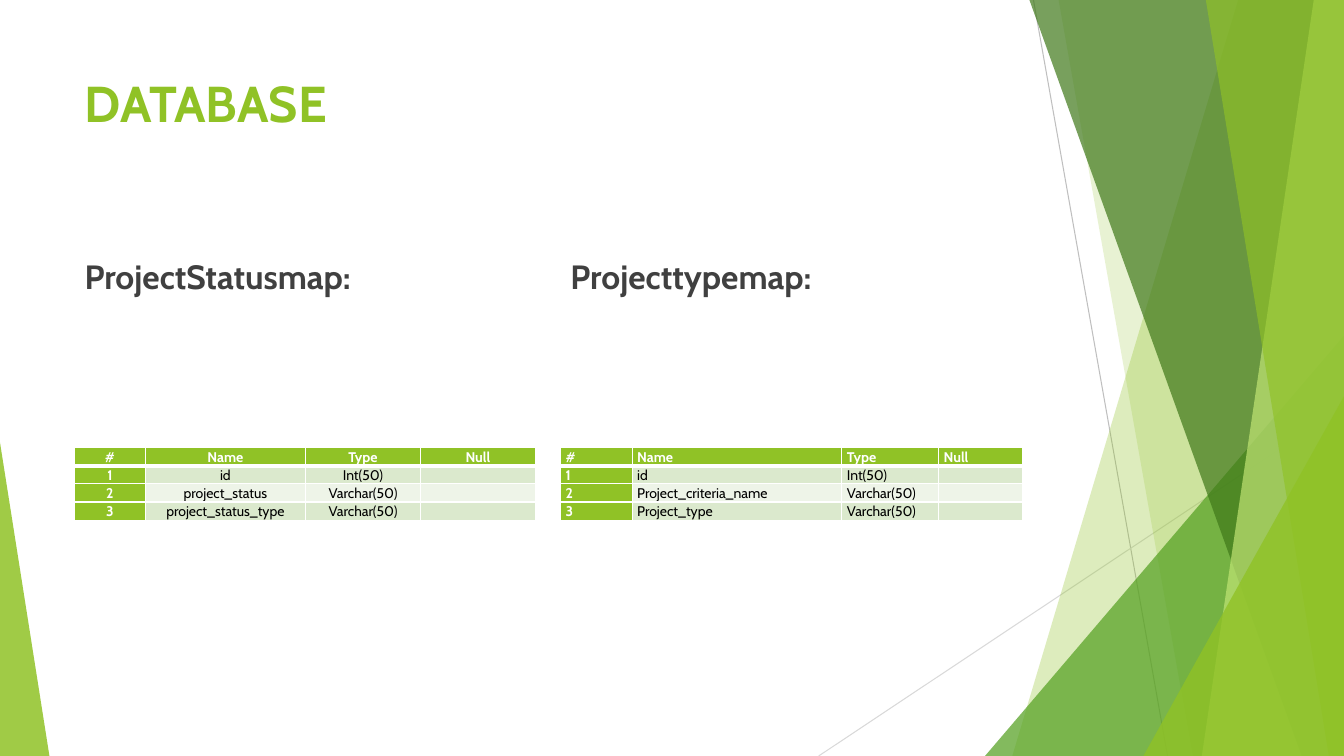
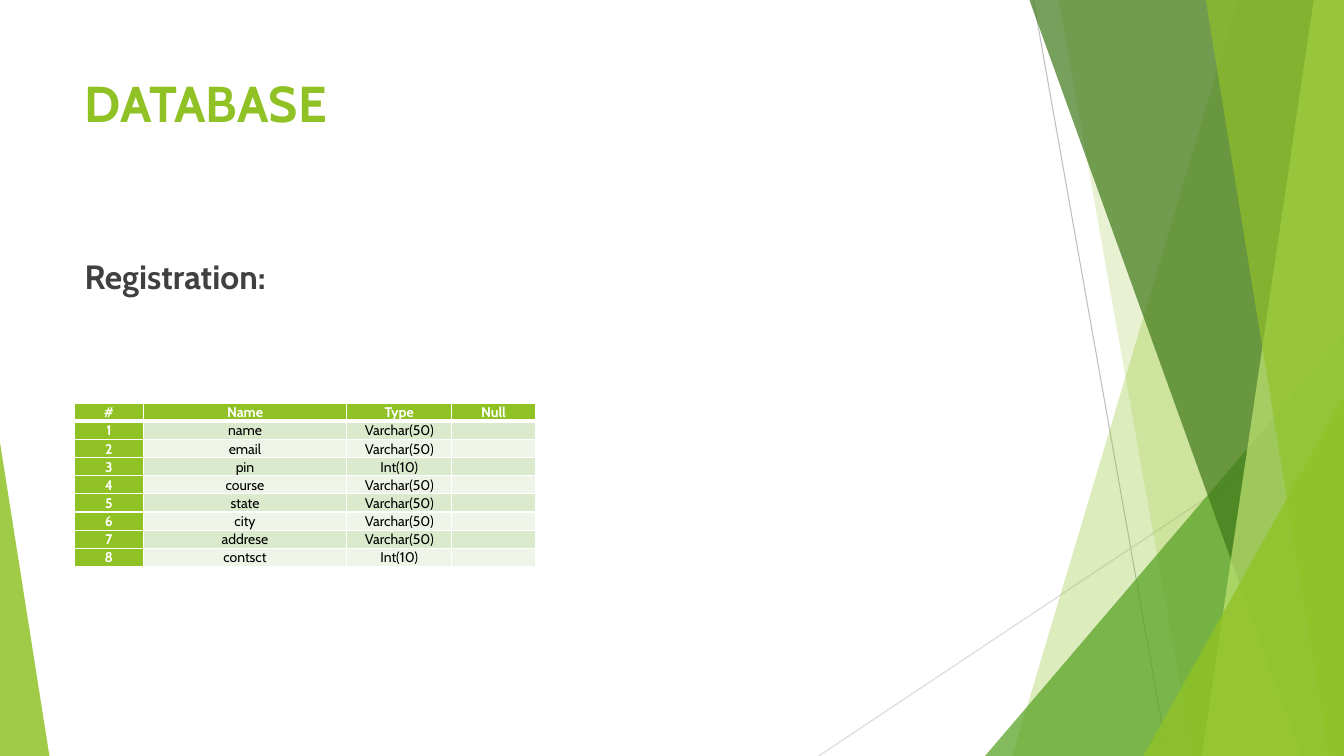
from lxml import etree
from pptx import Presentation
from pptx import util as u
from pptx.dml.color import RGBColor
from pptx.enum import shapes, text
from pptx.oxml.ns import qn

# Shared style
W, H = 13.33, 7.5
FONT = "Cabin"
COLORS = {
    "lime": "90C226", "green": "54A021", "forest": "3F7819", "pale": "C0E474",
    "ink": "404040", "black": "000000", "white": "FFFFFF",
    "band_odd": "DBE9CD", "band_even": "EEF4E8",
    "gray": "BFBFBF", "light_gray": "D9D9D9",
}
LEFT, COL_W, COL_STEP = 0.74, 4.58, 4.82
ROW_H = 0.18
LINES = [((10.25, 0), (11.58, H), "gray"), ((W, 4.03), (8.12, H), "light_gray")]

# Facets, back to front: bands run from (top x, bottom x) to the right edge,
# triangles have (left, top, width, apex share)
FACETS = [
    ("band", (12.28, 10.04), "lime", 30),
    ("band", (10.5, 11.83), "lime", 20),
    ("triangle", (9.77, 3.33, 3.56, 1), "green", 72),
    ("band", (10.21, 12.91), "forest", 70),
    ("band", (13.03, 11.92), "pale", 70),
    ("band", (11.96, 13.18), "lime", 65),
    ("triangle", (11.34, 3.93, 1.99, 1), "lime", 80),
    ("triangle", (0, 4.39, 0.49, 0), "lime", 85),
]

# Content
HEADER = ("#", "Name", "Type", "Null")
SLIDES = [
    {"title": "DATABASE", "top": 4.44, "tables": [
        {"heading": "ProjectStatusmap:", "align": "CENTER",
         "cols": (0.7, 1.59, 1.14, 1.14),
         "fields": [("id", "Int(50)"), ("project_status", "Varchar(50)"),
                    ("project_status_type", "Varchar(50)")]},
        {"heading": "Projecttypemap:", "align": "LEFT",
         "cols": (0.71, 2.08, 0.96, 0.83),
         "fields": [("id", "Int(50)"), ("Project_criteria_name", "Varchar(50)"),
                    ("Project_type", "Varchar(50)")]},
    ]},
    {"title": "DATABASE", "top": 4, "tables": [
        {"heading": "Registration:", "align": "CENTER",
         "cols": (0.68, 2.02, 1.04, 0.83),
         "fields": [("name", "Varchar(50)"), ("email", "Varchar(50)"),
                    ("pin", "Int(10)"), ("course", "Varchar(50)"),
                    ("state", "Varchar(50)"), ("city", "Varchar(50)"),
                    ("addrese", "Varchar(50)"), ("contsct", "Int(10)")]},
    ]},
]


def rgb(name):
    return RGBColor.from_string(COLORS[name])


def write(tf, words, size, color, bold=False, align="LEFT", spacing=None):
    p = tf.paragraphs[0]
    p.alignment = getattr(text.PP_ALIGN, align)
    p.line_spacing = spacing
    if not words:  # an empty cell keeps the row height of its neighbours
        etree.SubElement(p._p, qn("a:endParaRPr"), sz=str(size * 100))
        return
    r = p.add_run()
    r.text = words
    r.font.name, r.font.size, r.font.bold = FONT, u.Pt(size), bold
    r.font.color.rgb = rgb(color)


def add_text(slide, box, words, anchor="TOP", **fmt):
    tf = slide.shapes.add_textbox(*map(u.Inches, box)).text_frame
    tf.word_wrap = True
    tf.vertical_anchor = getattr(text.MSO_ANCHOR, anchor)
    write(tf, words, bold=True, **fmt)


# Decoration on every slide
def add_facet(slide, kind, geometry, color, alpha):
    if kind == "band":
        top_x, bottom_x = geometry
        points = [(u.Inches(x), u.Inches(y))
                  for x, y in ((top_x, 0), (W, 0), (W, H), (bottom_x, H))]
        builder = slide.shapes.build_freeform(*points[0])
        builder.add_line_segments(points[1:], close=True)
        sp = builder.convert_to_shape()
    else:
        x, y, width, apex = geometry
        sp = slide.shapes.add_shape(shapes.MSO_SHAPE.ISOSCELES_TRIANGLE,
                                    *map(u.Inches, (x, y, width, H - y)))
        sp.adjustments[0] = apex
    sp.shadow.inherit = False
    sp.line.fill.background()
    sp.fill.solid()
    sp.fill.fore_color.rgb = rgb(color)
    clr = sp._element.spPr.find(qn("a:solidFill"))[0]
    etree.SubElement(clr, qn("a:alpha"), val=str(alpha * 1000))


def add_decoration(slide):
    for start, end, color in LINES:
        line = slide.shapes.add_connector(shapes.MSO_CONNECTOR.STRAIGHT,
                                          *map(u.Inches, start + end))
        line.line.color.rgb = rgb(color)
        line.line.width = u.Pt(0.75)
        etree.SubElement(line._element.spPr, qn("a:effectLst"))
    for facet in FACETS:
        add_facet(slide, *facet)


# Tables
def set_borders(cell, row):
    widths = {"L": 1, "R": 1, "T": 3 if row == 1 else 1, "B": 3 if row == 0 else 1}
    tc_pr = cell._tc.get_or_add_tcPr()
    for side, width in widths.items():
        ln = etree.SubElement(tc_pr, qn("a:ln" + side), w=str(u.Pt(width)))
        fill = etree.SubElement(ln, qn("a:solidFill"))
        etree.SubElement(fill, qn("a:srgbClr"), val=COLORS["white"])


def add_field_table(slide, x, y, cols, fields, align):
    rows = [HEADER] + [(str(n), *field, "") for n, field in enumerate(fields, 1)]
    table = slide.shapes.add_table(
        len(rows), len(cols),
        *map(u.Inches, (x, y, sum(cols), ROW_H * len(rows)))).table
    table.first_row = table.horz_banding = False
    for column, width in zip(table.columns, cols):
        column.width = u.Inches(width)
    for i, row in enumerate(rows):
        table.rows[i].height = u.Inches(ROW_H)
        for j, words in enumerate(row):
            cell = table.cell(i, j)
            cell.margin_left = cell.margin_right = u.Inches(0.05)
            cell.margin_top = cell.margin_bottom = 0
            key = i == 0 or j == 0
            write(cell.text_frame, words, size=10, bold=key, align=align,
                  color="white" if key else "black", spacing=1.07)
            set_borders(cell, i)
            cell.fill.solid()
            cell.fill.fore_color.rgb = rgb(
                "lime" if key else "band_odd" if i % 2 else "band_even")


def main():
    prs = Presentation()
    prs.slide_width, prs.slide_height = u.Inches(W), u.Inches(H)
    for page in SLIDES:
        slide = prs.slides.add_slide(prs.slide_layouts[6])
        add_decoration(slide)
        add_text(slide, (LEFT, 0.67, COL_STEP + COL_W, 1.44), page["title"],
                 size=36, color="lime")
        for n, item in enumerate(page["tables"]):
            x = LEFT + n * COL_STEP
            add_text(slide, (x, 2.36, COL_W, 0.63), item["heading"],
                     anchor="BOTTOM", size=24, color="ink")
            add_field_table(slide, x, page["top"], item["cols"],
                            item["fields"], item["align"])
    prs.save("out.pptx")


if __name__ == "__main__":
    main()
